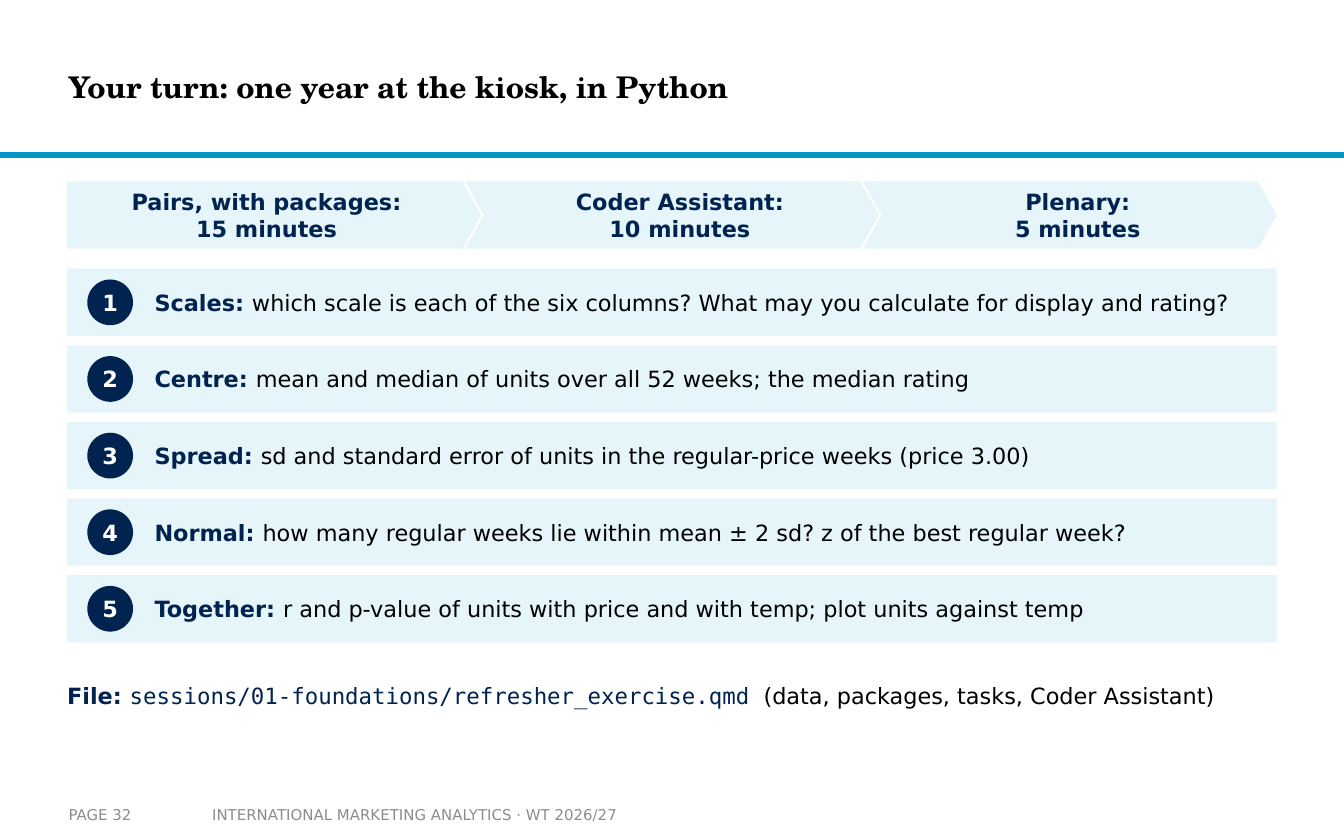
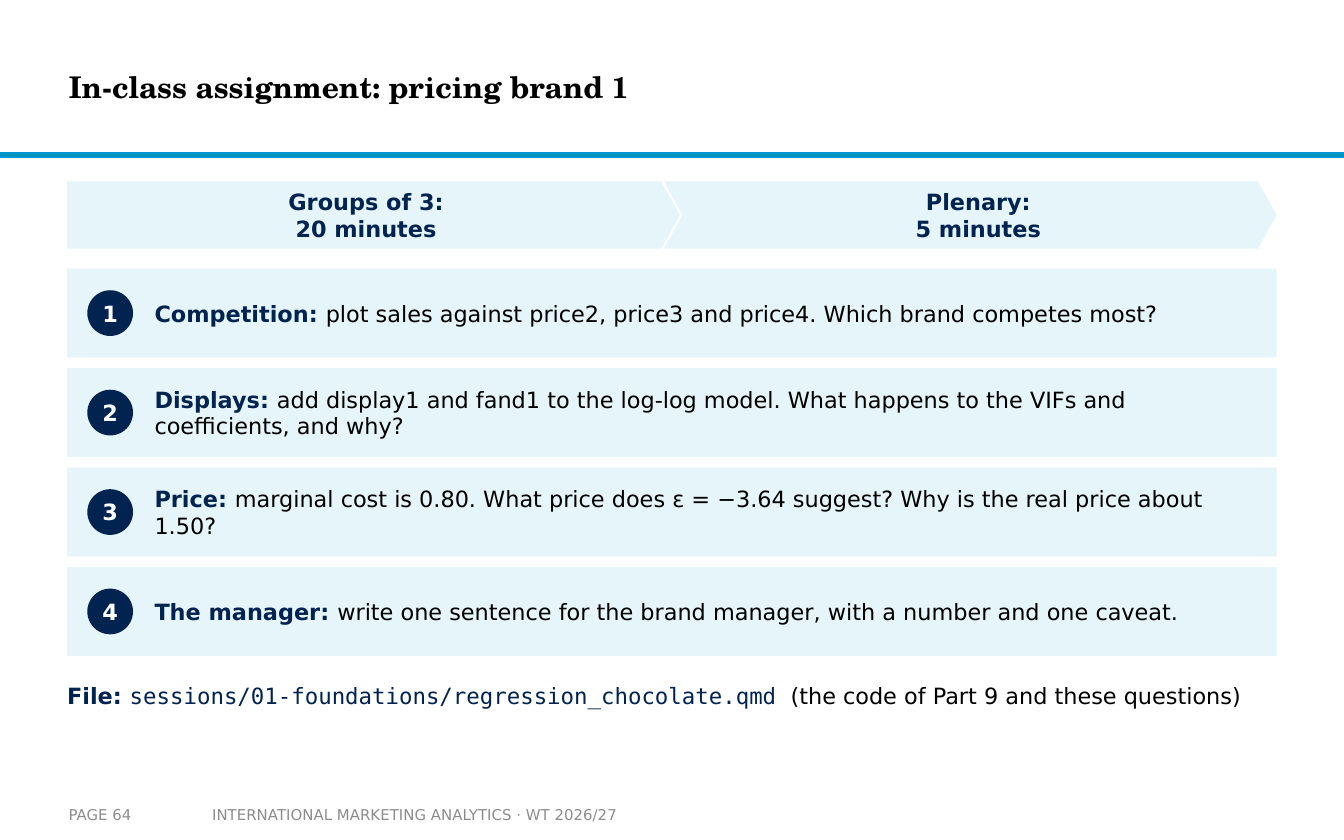
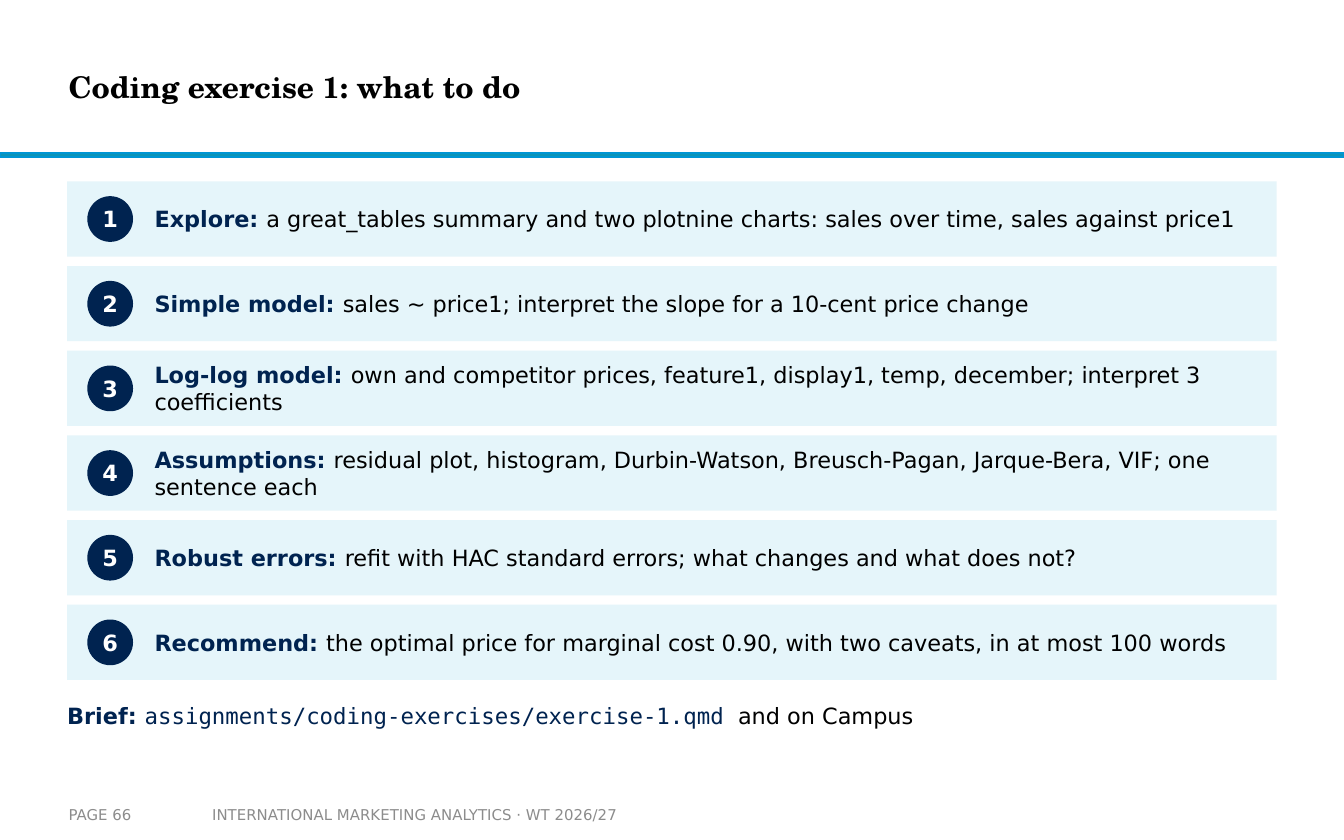
from collections import namedtuple

from pptx import Presentation
from pptx.dml.color import RGBColor
from pptx.enum.shapes import MSO_SHAPE
from pptx.enum.text import MSO_ANCHOR, PP_ALIGN
from pptx.util import Inches, Pt

RECT, OVAL = MSO_SHAPE.RECTANGLE, MSO_SHAPE.OVAL
PENTAGON, CHEVRON = MSO_SHAPE.PENTAGON, MSO_SHAPE.CHEVRON
MIDDLE, LEFT, CENTER = MSO_ANCHOR.MIDDLE, PP_ALIGN.LEFT, PP_ALIGN.CENTER

# The grid: 200 columns by 125 rows of 0.05 inch
CELL = 0.05
COLS, ROWS = 200, 125
Box = namedtuple("Box", "x y w h")
CONTENT = Box(10, 27, 180, 80)
TITLE = Box(10.2, 3, 149.6, 19.8)
RULE = Box(0, 22.8, COLS, 0.6)
PAGE = Box(10.2, 118.4, 19.6, 5.6)
COURSE = Box(29.6, 118.4, 70.4, 5.6)
PHASE_H, OVERLAP, STEPS_DROP = 10, 2.4, 13
BADGE, INDENT, TEXT_INDENT = 6.8, 3, 13

NAVY, PALE, BLACK, WHITE, GREY = "002350", "E5F5FA", "000000", "FFFFFF", "8C8C8C"
RULE_FILL, RULE_LINE = "0C94B7", "0096D3"
SANS, MONO, SERIF = "DejaVu Sans", "DejaVu Sans Mono", "TeX Gyre Schola"
COURSE_NAME = "INTERNATIONAL MARKETING ANALYTICS · WT 2026/27"

Run = namedtuple("Run", "text color bold font size", defaults=(NAVY, False, SANS, 12))


def color(hex_text):
    return RGBColor.from_string(hex_text)


def length(cells):
    return Inches(cells * CELL)


def place(box):
    return [length(side) for side in box]


def write(s, runs, align=LEFT, insets=(0, 0, 0, 0), after=0):
    tf = s.text_frame
    tf.word_wrap = True
    tf.vertical_anchor = MIDDLE
    tf.margin_left, tf.margin_top, tf.margin_right, tf.margin_bottom = place(insets)
    p = tf.paragraphs[0]
    p.alignment = align
    p.space_after = Pt(after)
    for i, run in enumerate(runs):
        if i and align == CENTER:
            p.add_line_break()
        r = p.add_run()
        r.text = run.text
        r.font.name, r.font.size, r.font.bold = run.font, Pt(run.size), run.bold
        r.font.color.rgb = color(run.color)


def add_text(slide, box, runs, **style):
    write(slide.shapes.add_textbox(*place(box)), runs, **style)


def add_block(slide, kind, box, fill, line=None):
    s = slide.shapes.add_shape(kind, *place(box))
    s.shadow.inherit = False
    s.fill.solid()
    s.fill.fore_color.rgb = color(fill)
    if line:
        s.line.color.rgb = color(line)
        s.line.width = Pt(1)
    else:
        s.line.fill.background()
    return s


def add_frame(slide, title, page):
    """Rule, title and footer shared by all slides."""
    add_block(slide, RECT, RULE, RULE_FILL, RULE_LINE)
    add_text(slide, TITLE, [Run(title, BLACK, True, SERIF, 16)])
    add_text(slide, COURSE, [Run(COURSE_NAME, GREY, size=8)], insets=(2, 1, 2, 1))
    add_text(slide, PAGE, [Run(f"PAGE {page}", GREY, size=8)], insets=(0, 1, 0, 1))


def add_phases(slide, box, phases):
    """Row of overlapping arrows, the first with a flat back."""
    width = (box.w + OVERLAP * (len(phases) - 1)) / len(phases)
    for i, lines in enumerate(phases):
        arrow = Box(box.x + i * (width - OVERLAP), box.y, width, box.h)
        s = add_block(slide, CHEVRON if i else PENTAGON, arrow, PALE)
        s.adjustments[0] = 0.28
        write(s, [Run(line, bold=True) for line in lines], CENTER,
              (5.2 if i else 2, 0.4, 2.8, 0.4))


def add_steps(slide, box, steps, height, gap):
    """Numbered bands, one below the other."""
    for i, (label, task) in enumerate(steps):
        y = box.y + i * (height + gap)
        add_block(slide, RECT, Box(box.x, y, box.w, height), PALE)
        badge = Box(box.x + INDENT, y + (height - BADGE) / 2, BADGE, BADGE)
        s = add_block(slide, OVAL, badge, NAVY)
        write(s, [Run(str(i + 1), WHITE, True)], CENTER)
        add_text(slide, Box(box.x + TEXT_INDENT, y, box.w - TEXT_INDENT - INDENT, height),
                 [Run(f"{label}: ", bold=True), Run(task, BLACK)], after=4)


def add_source(slide, box, label, file, remark):
    # The wide monospaced space sets the remark apart from the file
    add_text(slide, box, [Run(f"{label}: ", bold=True), Run(f"{file} ", font=MONO),
                          Run(remark, BLACK)], after=4)


def add_exercise(prs, title, page, phases, steps, height, gap, source, source_row):
    slide = prs.slides.add_slide(prs.slide_layouts[6])
    add_frame(slide, title, page)
    x, y, w, h = CONTENT
    if phases:
        add_phases(slide, Box(x, y, w, PHASE_H), phases)
        y += STEPS_DROP
    add_steps(slide, Box(x, y, w, h), steps, height, gap)
    add_source(slide, Box(x, source_row, w, 7), *source)


EXERCISES = [
    dict(
        title="Your turn: one year at the kiosk, in Python", page=32,
        phases=[("Pairs, with packages:", "15 minutes"),
                ("Coder Assistant:", "10 minutes"),
                ("Plenary:", "5 minutes")],
        steps=[
            ("Scales", "which scale is each of the six columns? "
                       "What may you calculate for display and rating?"),
            ("Centre", "mean and median of units over all 52 weeks; the median rating"),
            ("Spread", "sd and standard error of units in the regular-price weeks (price 3.00)"),
            ("Normal", "how many regular weeks lie within mean ± 2 sd? "
                       "z of the best regular week?"),
            ("Together", "r and p-value of units with price and with temp; "
                         "plot units against temp"),
        ],
        height=10, gap=1.4, source_row=100,
        source=("File", "sessions/01-foundations/refresher_exercise.qmd",
                "(data, packages, tasks, Coder Assistant)"),
    ),
    dict(
        title="In-class assignment: pricing brand 1", page=64,
        phases=[("Groups of 3:", "20 minutes"), ("Plenary:", "5 minutes")],
        steps=[
            ("Competition", "plot sales against price2, price3 and price4. "
                            "Which brand competes most?"),
            ("Displays", "add display1 and fand1 to the log-log model. "
                         "What happens to the VIFs and coefficients, and why?"),
            ("Price", "marginal cost is 0.80. What price does ε = −3.64 suggest? "
                      "Why is the real price about 1.50?"),
            ("The manager", "write one sentence for the brand manager, "
                            "with a number and one caveat."),
        ],
        height=13.2, gap=1.6, source_row=100,
        source=("File", "sessions/01-foundations/regression_chocolate.qmd",
                "(the code of Part 9 and these questions)"),
    ),
    dict(
        title="Coding exercise 1: what to do", page=66,
        phases=[],
        steps=[
            ("Explore", "a great_tables summary and two plotnine charts: "
                        "sales over time, sales against price1"),
            ("Simple model", "sales ~ price1; interpret the slope for a 10-cent price change"),
            ("Log-log model", "own and competitor prices, feature1, display1, temp, december; "
                              "interpret 3 coefficients"),
            ("Assumptions", "residual plot, histogram, Durbin-Watson, Breusch-Pagan, "
                            "Jarque-Bera, VIF; one sentence each"),
            ("Robust errors", "refit with HAC standard errors; what changes and what does not?"),
            ("Recommend", "the optimal price for marginal cost 0.90, with two caveats, "
                          "in at most 100 words"),
        ],
        height=11.2, gap=1.4, source_row=103,
        source=("Brief", "assignments/coding-exercises/exercise-1.qmd", "and on Campus"),
    ),
]


def main():
    prs = Presentation()
    prs.slide_width, prs.slide_height = length(COLS), length(ROWS)
    for exercise in EXERCISES:
        add_exercise(prs, **exercise)
    prs.save("out.pptx")


if __name__ == "__main__":
    main()
